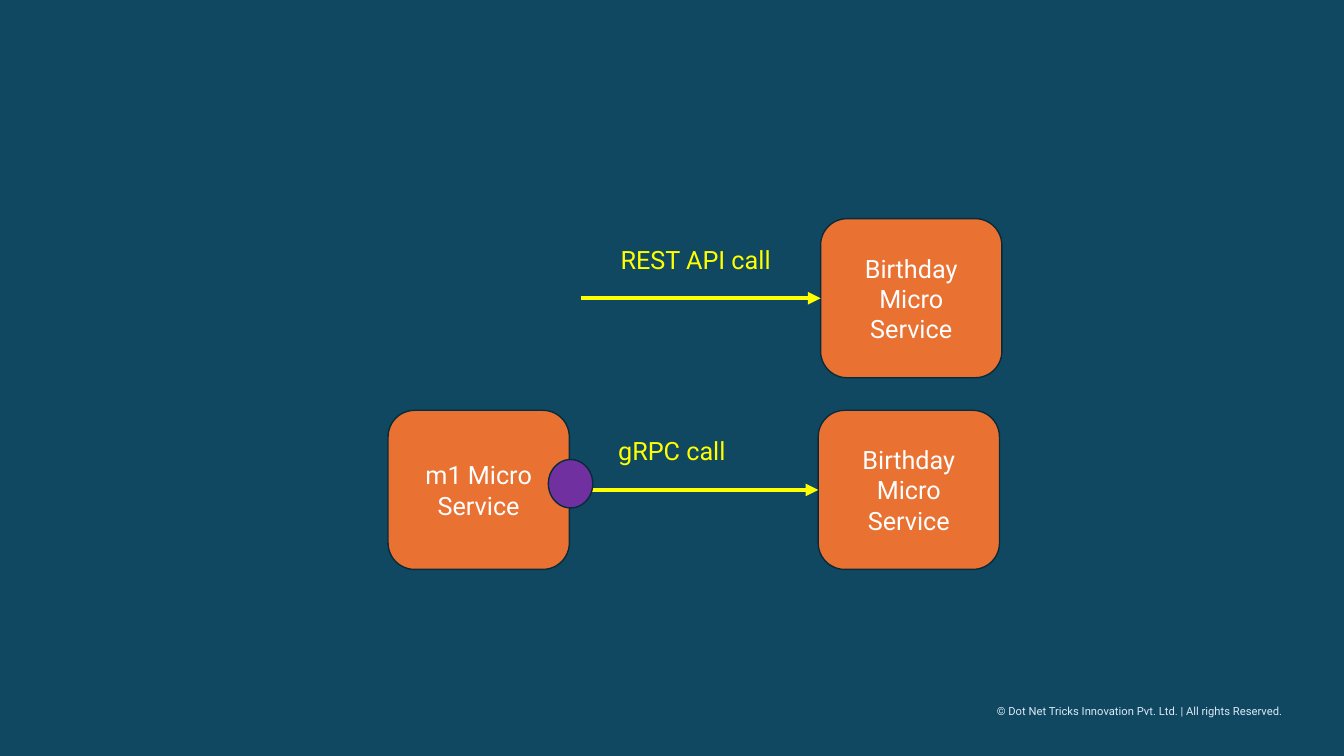
"""Build the slide comparing a REST API call with a gRPC call between microservices."""
from dataclasses import dataclass

import lxml.etree
import pptx
import pptx.dml.color
import pptx.enum.shapes
import pptx.enum.text
import pptx.oxml.ns
import pptx.shapes.autoshape
import pptx.slide
import pptx.util

Cm = pptx.util.Cm
Shape = pptx.shapes.autoshape.Shape
Slide = pptx.slide.Slide
MSO_SHAPE = pptx.enum.shapes.MSO_SHAPE
PP_ALIGN = pptx.enum.text.PP_ALIGN
FONT = "Roboto"
BACKGROUND, ORANGE, PURPLE = "104862", "E97132", "7030A0"
OUTLINE, YELLOW, WHITE, PALE = "092A39", "FFFF00", "FFFFFF", "DCEAF7"
SERVICE_W, SERVICE_H = 4.57, 4.01
ARROW_LENGTH = 6.05


@dataclass
class Call:
    label: str
    service_x: float
    service_y: float


CALLS = [Call("REST API call", 20.68, 5.51), Call("gRPC call", 20.62, 10.34)]


def rgb(color: str) -> pptx.dml.color.RGBColor:
    """Turn a hex string into a colour."""
    return pptx.dml.color.RGBColor.from_string(color)


def add_run(sp: Shape, text: str, size: float, color: str, align: PP_ALIGN) -> None:
    """Write one run in the first paragraph of a shape."""
    p = sp.text_frame.paragraphs[0]
    p.alignment = align
    r = p.add_run()
    r.text = text
    r.font.name = FONT
    r.font.size = pptx.util.Pt(size)
    r.font.color.rgb = rgb(color)


def add_label(s: Slide, x: float, y: float, w: float, h: float,
              text: str, size: float, color: str) -> None:
    """Add a left-aligned text box."""
    sp = s.shapes.add_textbox(Cm(x), Cm(y), Cm(w), Cm(h))
    sp.text_frame.word_wrap = True
    sp.text_frame.auto_size = pptx.enum.text.MSO_AUTO_SIZE.SHAPE_TO_FIT_TEXT
    add_run(sp, text, size, color, PP_ALIGN.LEFT)


def add_outlined(s: Slide, kind: MSO_SHAPE, x: float, y: float,
                 w: float, h: float, fill: str) -> Shape:
    """Add a filled shape with the dark outline."""
    sp = s.shapes.add_shape(kind, Cm(x), Cm(y), Cm(w), Cm(h))
    sp.shadow.inherit = False
    sp.fill.solid()
    sp.fill.fore_color.rgb = rgb(fill)
    sp.line.color.rgb = rgb(OUTLINE)
    sp.line.width = pptx.util.Pt(1)
    return sp


def add_service(s: Slide, x: float, y: float, name: str) -> Shape:
    """Add a microservice box."""
    sp = add_outlined(s, MSO_SHAPE.ROUNDED_RECTANGLE, x, y, SERVICE_W, SERVICE_H, ORANGE)
    sp.text_frame.word_wrap = True
    sp.text_frame.vertical_anchor = pptx.enum.text.MSO_ANCHOR.MIDDLE
    add_run(sp, name, 18, WHITE, PP_ALIGN.CENTER)
    return sp


def add_call(s: Slide, call: Call) -> None:
    """Add a called service with its incoming arrow and label."""
    x, y = call.service_x, call.service_y
    service = add_service(s, x, y, "Birthday Micro Service")
    middle = Cm(y + SERVICE_H / 2)
    arrow = s.shapes.add_connector(pptx.enum.shapes.MSO_CONNECTOR.STRAIGHT,
                                   Cm(x - ARROW_LENGTH), middle, Cm(x), middle)
    arrow.end_connect(service, 1)
    arrow.line.color.rgb = rgb(YELLOW)
    arrow.line.width = pptx.util.Pt(3)
    qn = pptx.oxml.ns.qn
    lxml.etree.SubElement(arrow.line._get_or_add_ln(), qn("a:tailEnd"), type="triangle")
    lxml.etree.SubElement(arrow._element.spPr, qn("a:effectLst"))
    add_label(s, x - 5.29, y + 0.51, 4.29, 1.02, call.label, 18, YELLOW)


def main() -> None:
    """Draw the slide and save it."""
    prs = pptx.Presentation()
    prs.slide_width, prs.slide_height = Cm(33.87), Cm(19.05)
    s = prs.slides.add_slide(prs.slide_layouts[6])
    s.background.fill.solid()
    s.background.fill.fore_color.rgb = rgb(BACKGROUND)
    add_label(s, 24.87, 17.63, 7.75, 0.61,
              "© Dot Net Tricks Innovation Pvt. Ltd. | All rights Reserved.", 8, PALE)
    for call in CALLS:
        add_call(s, call)
    add_service(s, 9.78, CALLS[-1].service_y, "m1 Micro Service")
    add_outlined(s, MSO_SHAPE.OVAL, 13.82, 11.58, 1.12, 1.22, PURPLE)
    prs.save("out.pptx")


if __name__ == "__main__":
    main()
